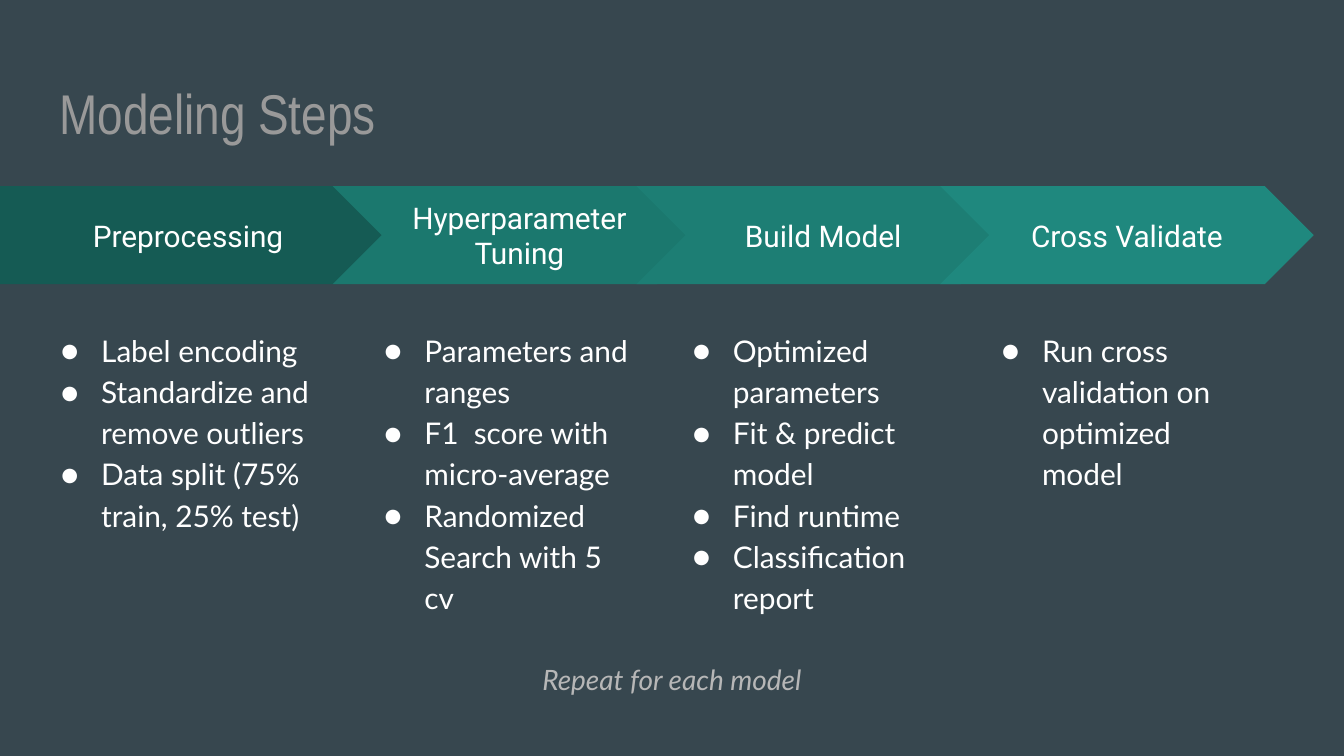
"""Build the Modeling Steps slide: four arrow stages, each with its bullet list."""
from lxml.etree import SubElement
from pptx import Presentation
from pptx.dml.color import RGBColor
from pptx.enum.shapes import MSO_SHAPE
from pptx.enum.text import MSO_ANCHOR, PP_ALIGN
from pptx.oxml.ns import qn
from pptx.util import Pt

PX = 4572
SLATE = RGBColor(0x37, 0x47, 0x4F)
WHITE = RGBColor(0xFF, 0xFF, 0xFF)
GRAY = RGBColor(0x99, 0x99, 0x99)
SILVER = RGBColor(0xB7, 0xB7, 0xB7)
PINE = RGBColor(0x15, 0x5B, 0x54)
TEAL = RGBColor(0x1B, 0x78, 0x6E)
JADE = RGBColor(0x1D, 0x7E, 0x74)
AQUA = RGBColor(0x1F, 0x88, 0x7E)


def write(shape, lines, font="Lato", size=16, color=WHITE, italic=False,
          align=PP_ALIGN.LEFT, anchor=MSO_ANCHOR.TOP, bullet=None):
    frame = shape.text_frame
    frame.word_wrap = True
    frame.vertical_anchor = anchor
    frame.margin_left = frame.margin_right = 20 * PX
    frame.margin_top = frame.margin_bottom = 20 * PX
    frame.text = "\n".join(lines)
    for para in frame.paragraphs:
        para.alignment = align
        face = para.runs[0].font
        face.name, face.size, face.italic = font, Pt(size), italic
        face.color.rgb = color
        if bullet:
            para.line_spacing = 1.15
            props = para._p.get_or_add_pPr()
            props.set("marL", str(62 * PX))
            props.set("indent", str(-60 * PX))
            tint = SubElement(props, qn("a:buClr"))
            SubElement(tint, qn("a:srgbClr"), val=str(color))
            SubElement(props, qn("a:buFont"), typeface=font)
            SubElement(props, qn("a:buChar"), char=bullet)


deck = Presentation()
deck.slide_width, deck.slide_height = 2000 * PX, 1125 * PX
slide = deck.slides.add_slide(deck.slide_layouts[6])
slide.background.fill.solid()
slide.background.fill.fore_color.rgb = SLATE
shapes = slide.shapes

title = shapes.add_textbox(69 * PX, 97 * PX, 1864 * PX, 126 * PX)
write(title, ["Modeling Steps"], font="Arial Narrow", size=30, color=GRAY)

STEPS = [
    ("Preprocessing", MSO_SHAPE.PENTAGON, PINE, 0, 596, 69, 438,
     ["Label encoding", "Standardize and remove outliers",
      "Data split (75% train, 25% test)"]),
    ("Hyperparameter Tuning", MSO_SHAPE.CHEVRON, TEAL, 495, 556, 550, 416,
     ["Parameters and ranges", "F1  score with micro-average",
      "Randomized Search with 5 cv"]),
    ("Build Model", MSO_SHAPE.CHEVRON, JADE, 947, 556, 1009, 416,
     ["Optimized parameters", "Fit & predict model", "Find runtime",
      "Classification report"]),
    ("Cross Validate", MSO_SHAPE.CHEVRON, AQUA, 1399, 556, 1469, 416,
     ["Run cross validation on optimized model"]),
]

for name, kind, fill, left, width, edge, span, items in STEPS:
    arrow = shapes.add_shape(kind, left * PX, 277 * PX, width * PX, 146 * PX)
    arrow.shadow.inherit = False
    arrow.adjustments[0] = 0.5
    arrow.fill.solid()
    arrow.fill.fore_color.rgb = fill
    arrow.line.fill.background()
    write(arrow, [name], font="Roboto", align=PP_ALIGN.CENTER,
          anchor=MSO_ANCHOR.MIDDLE)
    notes = shapes.add_textbox(edge * PX, 467 * PX, span * PX, 572 * PX)
    write(notes, items, bullet="●")

footer = shapes.add_textbox(722 * PX, 966 * PX, 556 * PX, 98 * PX)
write(footer, ["Repeat for each model"], size=15, color=SILVER, italic=True,
      align=PP_ALIGN.CENTER)

deck.save("out.pptx")
